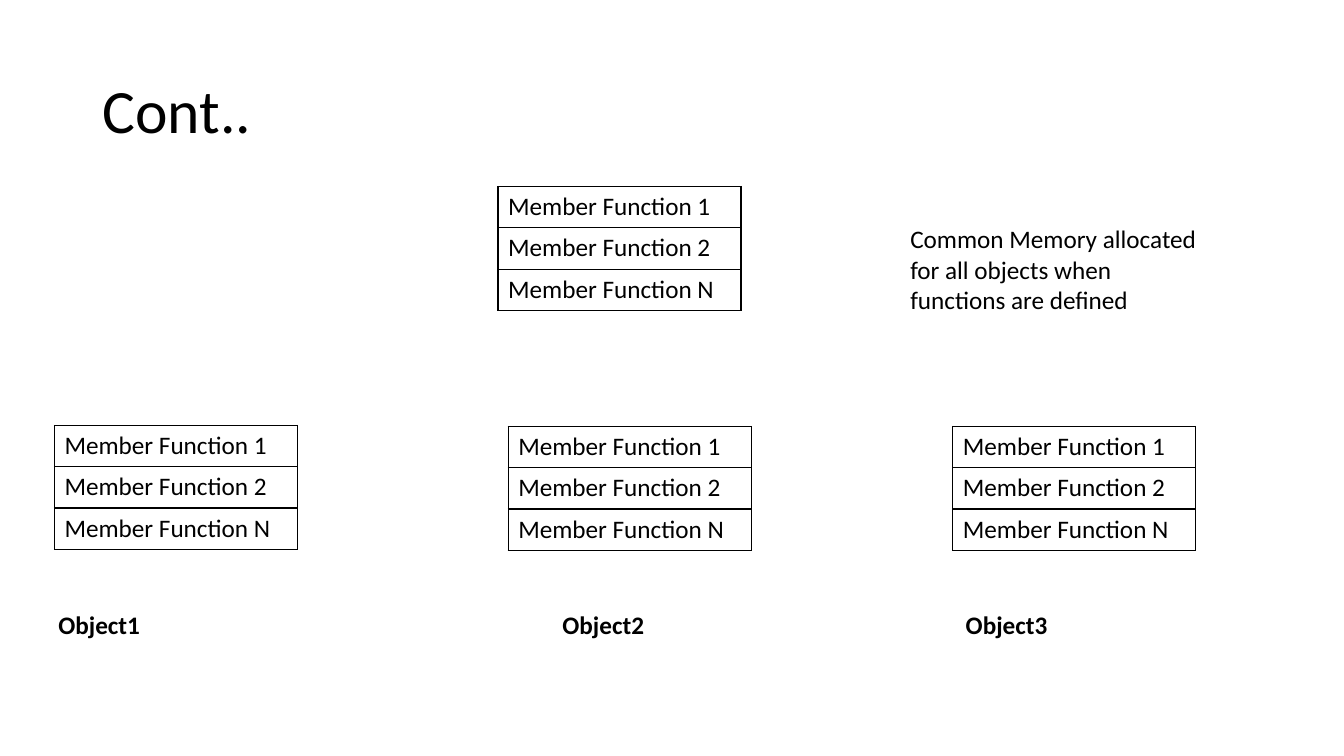
import pptx
import pptx.dml.color
import pptx.enum.text
import pptx.oxml.ns
import pptx.util
from lxml import etree

Inches = pptx.util.Inches
Pt = pptx.util.Pt
BLACK = pptx.dml.color.RGBColor(0, 0, 0)
FONT = "Calibri"
ROWS = ("Member Function 1", "Member Function 2", "Member Function N")
WIDTH, ROW = 2.41, 0.41
TABLES = ((4.94, 1.85), (0.54, 4.22), (5.04, 4.23), (9.45, 4.23))
STOPS = (5, 9)


def add_run(para, text, size=18, bold=False):
    """Add one styled run to a paragraph."""
    run = para.add_run()
    run.text = text
    run.font.name = FONT
    run.font.size = Pt(size)
    run.font.bold = bold
    run.font.color.rgb = BLACK


def add_text(slide, box, text, size=18, bold=False):
    """Add a wrapped text box and return its frame."""
    frame = slide.shapes.add_textbox(*map(Inches, box)).text_frame
    frame.word_wrap = True
    add_run(frame.paragraphs[0], text, size, bold)
    return frame


def set_stops(para, stops):
    """Set left tab stops, given in inches."""
    tag = pptx.oxml.ns.qn
    tabs = etree.SubElement(para._p.get_or_add_pPr(), tag("a:tabLst"))
    for stop in stops:
        etree.SubElement(tabs, tag("a:tab"), pos=str(Inches(stop)), algn="l")


def add_edges(cell):
    """Draw a thin black line on each side of a cell."""
    tag = pptx.oxml.ns.qn
    props = cell._tc.get_or_add_tcPr()
    for place, side in enumerate(("lnL", "lnR", "lnT", "lnB")):
        line = etree.Element(tag("a:" + side), w=str(Pt(1)))
        fill = etree.SubElement(line, tag("a:solidFill"))
        etree.SubElement(fill, tag("a:srgbClr"), val=str(BLACK))
        props.insert(place, line)


def add_list(slide, left, top):
    """Add a one-column table of member functions."""
    size = (left, top, WIDTH, ROW * len(ROWS))
    table = slide.shapes.add_table(len(ROWS), 1, *map(Inches, size)).table
    table.first_row = table.horz_banding = False
    for index, text in enumerate(ROWS):
        table.rows[index].height = Inches(ROW)
        cell = table.cell(index, 0)
        cell.fill.background()
        add_edges(cell)
        add_run(cell.text_frame.paragraphs[0], text)


def main():
    """Build the slide and save it."""
    deck = pptx.Presentation()
    deck.slide_width, deck.slide_height = Inches(13.33), Inches(7.5)
    slide = deck.slides.add_slide(deck.slide_layouts[6])
    title = add_text(slide, (0.92, 0.4, 11.5, 1.45), "Cont..", 44)
    title.vertical_anchor = pptx.enum.text.MSO_ANCHOR.MIDDLE
    title.paragraphs[0].line_spacing = 0.9
    for left, top in TABLES:
        add_list(slide, left, top)
    names = "\t".join(f"Object{number}" for number in (1, 2, 3))
    label = add_text(slide, (0.48, 6, 11.49, 0.4), names, bold=True)
    set_stops(label.paragraphs[0], STOPS)
    note = "Common Memory allocated for all objects when functions are defined"
    add_text(slide, (8.93, 2.17, 3.04, 1.01), note)
    deck.save("out.pptx")


main()
